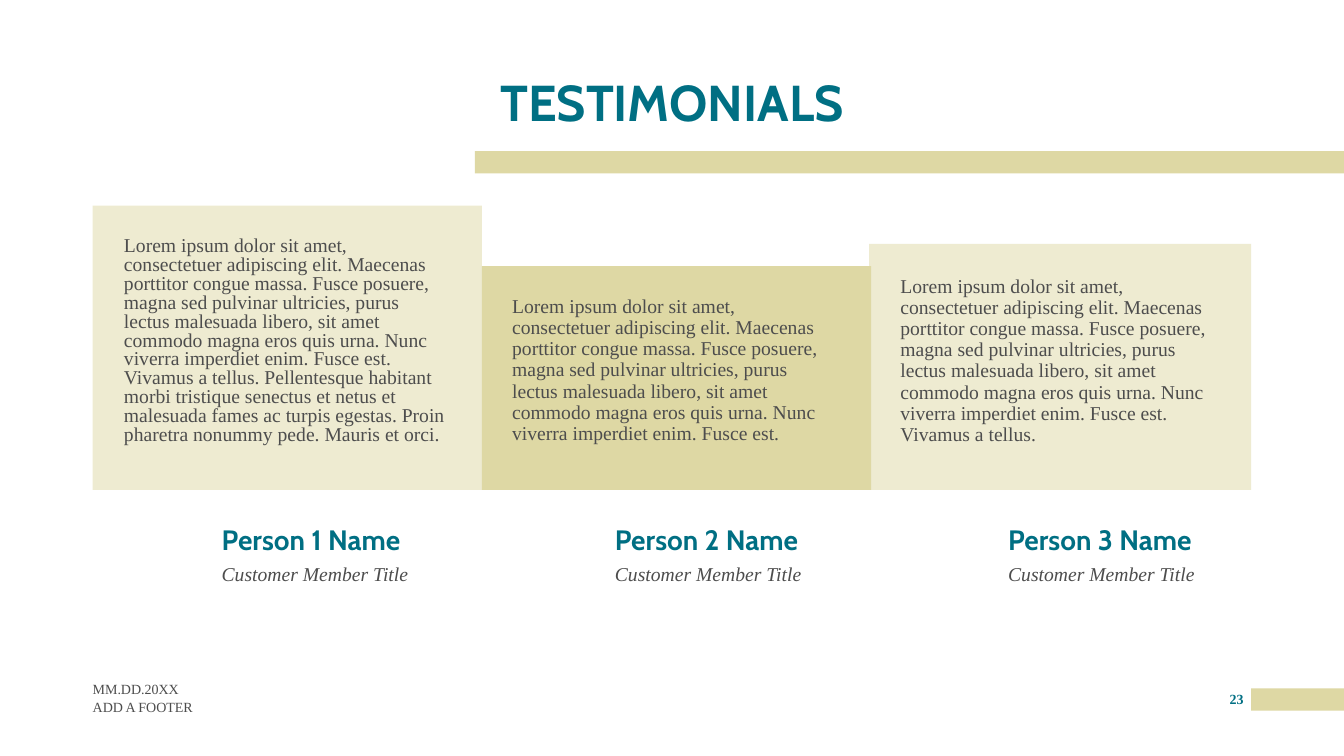
from dataclasses import dataclass

from lxml import etree
from pptx import Presentation
from pptx import util as u
from pptx.dml import color as dml
from pptx.enum import shapes, text
from pptx.oxml import ns

TEAL, SAND, GRAY = "006F83", "DED8A4", "4D4D4D"
HEAD, BODY = "Cabin", "Times New Roman"
FLOOR = 4.86
LINES = (
    "Lorem ipsum dolor sit amet, consectetuer adipiscing elit.",
    "Maecenas porttitor congue massa.",
    "Fusce posuere, magna sed pulvinar ultricies, purus lectus malesuada libero, "
    "sit amet commodo magna eros quis urna.",
    "Nunc viverra imperdiet enim.",
    "Fusce est.",
    "Vivamus a tellus.",
    "Pellentesque habitant morbi tristique senectus et netus et malesuada fames "
    "ac turpis egestas.",
    "Proin pharetra nonummy pede.",
    "Mauris et orci.",
)


@dataclass
class Box:
    left: float
    top: float
    width: float
    height: float


@dataclass
class Style:
    font: str
    size: int
    color: str
    bold: bool = False
    italic: bool = False
    align: text.PP_ALIGN = text.PP_ALIGN.LEFT
    space: float = 1.0
    inset: tuple[float, float, float, float] = (0, 0, 0, 0)
    anchor: text.MSO_ANCHOR = text.MSO_ANCHOR.TOP


@dataclass
class Quote:
    box: Box
    count: int
    space: float
    tint: bool


TITLE = Style(HEAD, 36, TEAL, bold=True, align=text.PP_ALIGN.CENTER, space=0.9)
NAME = Style(HEAD, 20, TEAL, bold=True, space=0.9, inset=(0.1, 0.05, 0.1, 0))
ROLE = Style(BODY, 14, GRAY, italic=True, space=0.9, inset=(0.1, 0, 0.1, 0.05))
DATE = Style(BODY, 10, GRAY, anchor=text.MSO_ANCHOR.BOTTOM)
FOOT = Style(BODY, 10, GRAY)
PAGE = Style(BODY, 10, TEAL, bold=True, align=text.PP_ALIGN.CENTER)

BARS = (
    Box(12.41, 6.83, 0.92, 0.22),
    Box(4.78, 2.64, 3.86, FLOOR - 2.64),
    Box(4.71, 1.5, 8.63, 0.22),
)
QUOTES = (
    Quote(Box(0.92, 2.04, 3.86, FLOOR - 2.04), 9, 0.8, True),
    Quote(Box(4.77, 2.62, 3.86, 2.23), 5, 0.9, False),
    Quote(Box(8.62, 2.42, 3.79, FLOOR - 2.42), 6, 0.9, True),
)


def rgb(code: str) -> dml.RGBColor:
    return dml.RGBColor.from_string(code)


def place(box: Box) -> list[u.Length]:
    return [u.Inches(n) for n in (box.left, box.top, box.width, box.height)]


def draw_bar(slide, box: Box, alpha: int = 100):
    bar = slide.shapes.add_shape(shapes.MSO_SHAPE.RECTANGLE, *place(box))
    bar.shadow.inherit = False
    bar.fill.solid()
    bar.fill.fore_color.rgb = rgb(SAND)
    bar.line.fill.background()
    if alpha < 100:
        tone = bar.fill._xPr.find(".//" + ns.qn("a:srgbClr"))
        etree.SubElement(tone, ns.qn("a:alpha")).set("val", str(alpha * 1000))
    return bar


def write(shape, words: str, style: Style) -> None:
    frame = shape.text_frame
    frame.word_wrap = True
    frame.vertical_anchor = style.anchor
    (frame.margin_left, frame.margin_top,
     frame.margin_right, frame.margin_bottom) = [u.Inches(n) for n in style.inset]
    para = frame.paragraphs[0]
    para.text = words
    para.alignment = style.align
    para.line_spacing = style.space
    font = para.font
    font.name, font.size = style.font, u.Pt(style.size)
    font.bold, font.italic = style.bold, style.italic
    font.color.rgb = rgb(style.color)


def draw_text(slide, box: Box, words: str, style: Style) -> None:
    write(slide.shapes.add_textbox(*place(box)), words, style)


def draw_quote(slide, quote: Quote) -> None:
    if quote.tint:
        shape = draw_bar(slide, quote.box, 50)
    else:
        shape = slide.shapes.add_textbox(*place(quote.box))
    style = Style(BODY, 14, GRAY, space=quote.space, inset=(0.31, 0.32, 0.34, 0.31))
    write(shape, " ".join(LINES[:quote.count]), style)


def main() -> None:
    deck = Presentation()
    deck.slide_width, deck.slide_height = u.Inches(13.33), u.Inches(7.5)
    slide = deck.slides.add_slide(deck.slide_layouts[6])
    for bar in BARS:
        draw_bar(slide, bar)
    draw_text(slide, Box(3.56, 0.77, 6.21, 0.66), "TESTIMONIALS", TITLE)
    for index, quote in enumerate(QUOTES):
        left = 2.1 + 3.9 * index
        draw_quote(slide, quote)
        draw_text(slide, Box(left, 5.17, 2.35, 0.36), f"Person {index + 1} Name", NAME)
        draw_text(slide, Box(left, 5.6, 2.35, 0.27), "Customer Member Title", ROLE)
    draw_text(slide, Box(0.92, 6.67, 3, 0.25), "MM.DD.20XX", DATE)
    draw_text(slide, Box(0.92, 6.93, 3, 0.25), "ADD A FOOTER", FOOT)
    draw_text(slide, Box(12.12, 6.85, 0.29, 0.25), "23", PAGE)
    deck.save("out.pptx")


if __name__ == "__main__":
    main()
